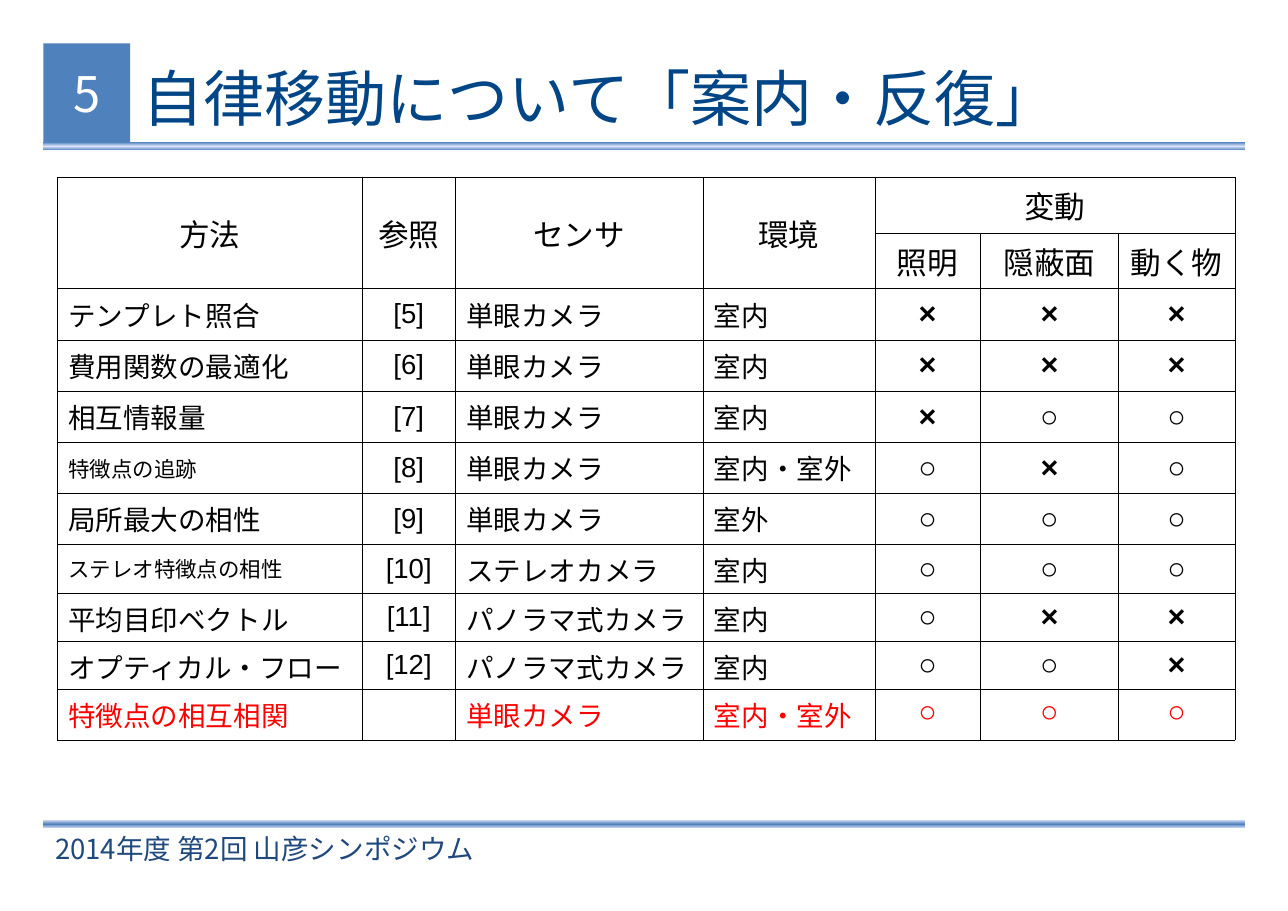
from lxml import etree
from copy import deepcopy
from pptx import Presentation
from pptx.dml.color import RGBColor
from pptx.enum.shapes import MSO_SHAPE
from pptx.enum.text import MSO_ANCHOR, PP_ALIGN
from pptx.oxml.ns import qn
from pptx.util import Cm, Pt

RECT = MSO_SHAPE.RECTANGLE
TOP, MIDDLE = MSO_ANCHOR.TOP, MSO_ANCHOR.MIDDLE
LEFT, CENTER = PP_ALIGN.LEFT, PP_ALIGN.CENTER
CJK, SANS, SERIF = "Noto Sans CJK JP", "Arial", "Times New Roman"
BLUE, PALE, NAVY, TITLE_BLUE = "4F81BD", "DAE1F8", "1F497D", "004586"
BLACK, WHITE, RED = "000000", "FFFFFF", "FF0000"

COLUMNS = [7.03, 2.15, 5.71, 3.96, 2.44, 3.18, 2.68]
ROWS = [1.28] * 2 + [1.18] * 5 + [1.11] * 3 + [1.18]
HEADINGS = ["方法", "参照", "センサ", "環境", "変動"]
CHANGES = ["照明", "隠蔽面", "動く物"]
METHODS = [
    ("テンプレト照合", "[5]", "単眼カメラ", "室内", "×××"),
    ("費用関数の最適化", "[6]", "単眼カメラ", "室内", "×××"),
    ("相互情報量", "[7]", "単眼カメラ", "室内", "×○○"),
    ("特徴点の追跡", "[8]", "単眼カメラ", "室内・室外", "○×○"),
    ("局所最大の相性", "[9]", "単眼カメラ", "室外", "○○○"),
    ("ステレオ特徴点の相性", "[10]", "ステレオカメラ", "室内", "○○○"),
    ("平均目印ベクトル", "[11]", "パノラマ式カメラ", "室内", "○××"),
    ("オプティカル・フロー", "[12]", "パノラマ式カメラ", "室内", "○○×"),
    ("特徴点の相互相関", "", "単眼カメラ", "室内・室外", "○○○"),
]
SMALL_METHODS = {"特徴点の追跡", "ステレオ特徴点の相性"}


def rgb(color):
    """Turn a hex string into a colour."""
    return RGBColor.from_string(color)


def write(tf, text, size, color, font=SANS, align=LEFT, bold=False, asian=CJK):
    """Set the text of a frame and format its run."""
    tf.text = text
    p = tf.paragraphs[0]
    p.alignment = align
    for r in p.runs:
        r.font.size, r.font.bold, r.font.name = Pt(size), bold, font
        r.font.color.rgb = rgb(color)
        etree.SubElement(r.font._element, qn("a:ea"), typeface=asian)


def add_rect(slide, left, top, width, height):
    """Add a plain rectangle without line or shadow."""
    s = slide.shapes.add_shape(RECT, Cm(left), Cm(top), Cm(width), Cm(height))
    s.shadow.inherit = False
    s.line.fill.background()
    return s


def add_rule(slide, left, top, width, height, edge, middle):
    """Add a bar that shades from its edges to its middle."""
    fill = add_rect(slide, left, top, width, height).fill
    fill.gradient()
    fill.gradient_angle = 90
    first = fill.gradient_stops[0]._gs
    first.addnext(deepcopy(first))
    for stop, color, position in zip(fill.gradient_stops, (edge, middle, edge), (0, 0.5, 1)):
        stop.color.rgb = rgb(color)
        stop.position = position


def add_label(slide, left, top, width, height, text, size, color, font, inset):
    """Add a text box centred on its height."""
    s = slide.shapes.add_textbox(Cm(left), Cm(top), Cm(width), Cm(height))
    tf = s.text_frame
    tf.word_wrap = True
    tf.vertical_anchor = MIDDLE
    tf.margin_left = tf.margin_right = Cm(inset)
    tf.margin_top = tf.margin_bottom = Cm(inset / 2)
    write(tf, text, size, color, font)


def add_header(slide, left, top, width, number, title):
    """Add the number block, the title and the rule under them."""
    add_rule(slide, left, top + 2.28, width, 0.19, BLUE, PALE)
    s = add_rect(slide, left, top, 2, 2.28)
    s.fill.solid()
    s.fill.fore_color.rgb = rgb(BLUE)
    tf = s.text_frame
    tf.margin_left = tf.margin_right = tf.margin_top = tf.margin_bottom = 0
    tf.vertical_anchor = MIDDLE
    write(tf, number, 32, WHITE, CJK, CENTER)
    add_label(slide, left + 2.28, top + 0.04, width - 3.04, 2.41, title, 39.9, TITLE_BLUE, SANS, 0)


def add_footer(slide, left, top, width, text):
    """Add the lower rule and the event name."""
    add_rule(slide, left, top, width, 0.2, PALE, BLUE)
    add_label(slide, left + 0.02, top + 0.2, 17, 0.91, text, 18, NAVY, CJK, 0.25)


def style_cell(cell):
    """Clear the fill of a cell and give it hairline borders."""
    cell.vertical_anchor = MIDDLE
    cell.fill.background()
    pr = cell._tc.get_or_add_tcPr()
    for i, side in enumerate(("a:lnL", "a:lnR", "a:lnT", "a:lnB")):
        ln = etree.Element(qn(side), w=str(Pt(0.06)))
        fill = etree.SubElement(ln, qn("a:solidFill"))
        etree.SubElement(fill, qn("a:srgbClr"), val=BLACK)
        pr.insert(i, ln)


def fill_headings(table):
    """Write the two heading rows and merge their cells."""
    for col, text in enumerate(HEADINGS):
        end = table.cell(1, col) if col < 4 else table.cell(0, 6)
        table.cell(0, col).merge(end)
        write(table.cell(0, col).text_frame, text, 20, BLACK, SERIF, CENTER)
    for col, text in enumerate(CHANGES, 4):
        write(table.cell(1, col).text_frame, text, 20, BLACK, SERIF, CENTER)


def fill_method(table, row, method, color):
    """Write one method and its three marks."""
    *texts, marks = method
    for col, text in enumerate(texts):
        size = 14 if text in SMALL_METHODS else 18
        font = SERIF if color == RED or text == "単眼カメラ" else SANS
        align = CENTER if col == 1 else LEFT
        write(table.cell(row, col).text_frame, text, size, color, font, align)
    for col, mark in enumerate(marks, 4):
        write(table.cell(row, col).text_frame, mark, 20, color, SANS, CENTER, True, SANS)


def add_method_table(slide, left, top):
    """Add the comparison of methods, the last one in red."""
    table = slide.shapes.add_table(len(ROWS), len(COLUMNS), Cm(left), Cm(top),
                                   Cm(sum(COLUMNS)), Cm(sum(ROWS))).table
    table.first_row = table.horz_banding = False
    for column, width in zip(table.columns, COLUMNS):
        column.width = Cm(width)
    for row, height in zip(table.rows, ROWS):
        row.height = Cm(height)
    for cell in table.iter_cells():
        style_cell(cell)
    fill_headings(table)
    last = len(ROWS) - 1
    for row, method in enumerate(METHODS, 2):
        fill_method(table, row, method, RED if row == last else BLACK)
    for cell in table.rows[last].cells:
        cell.vertical_anchor = TOP


def main():
    """Build the slide and save it."""
    prs = Presentation()
    prs.slide_width, prs.slide_height = Cm(29.7), Cm(21)
    slide = prs.slides.add_slide(prs.slide_layouts[6])
    add_header(slide, 1, 1, 27.7, "5", "自律移動について「案内・反復」")
    add_footer(slide, 1, 18.9, 27.7, "2014年度 第2回 山彦シンポジウム")
    add_method_table(slide, 1.32, 4.09)
    prs.save("out.pptx")


if __name__ == "__main__":
    main()
